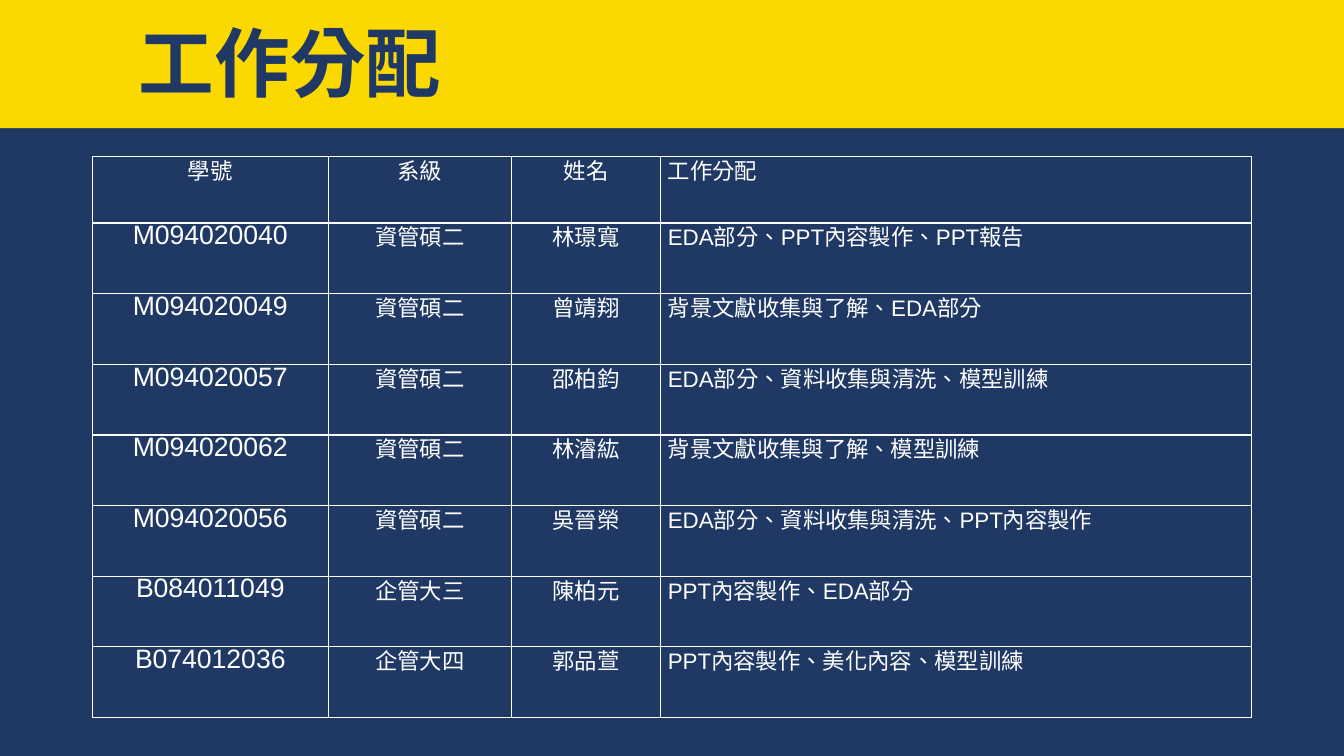
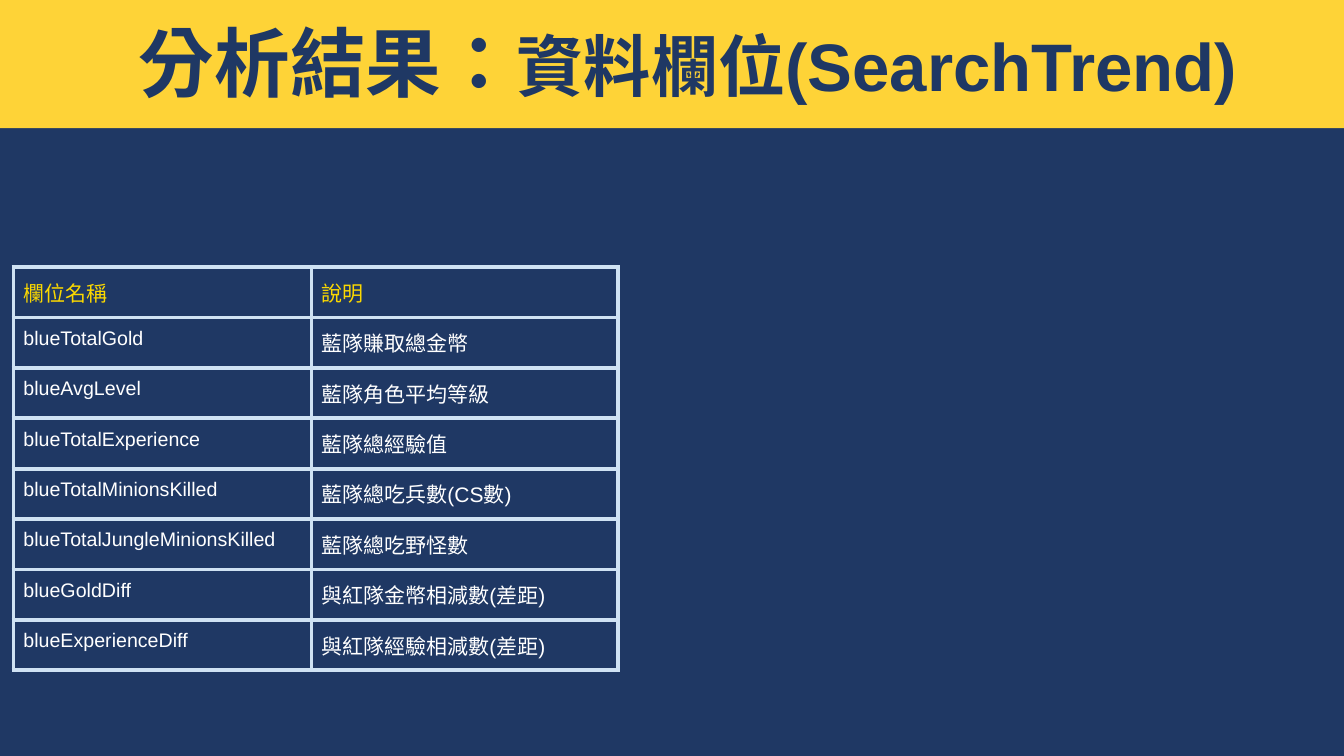
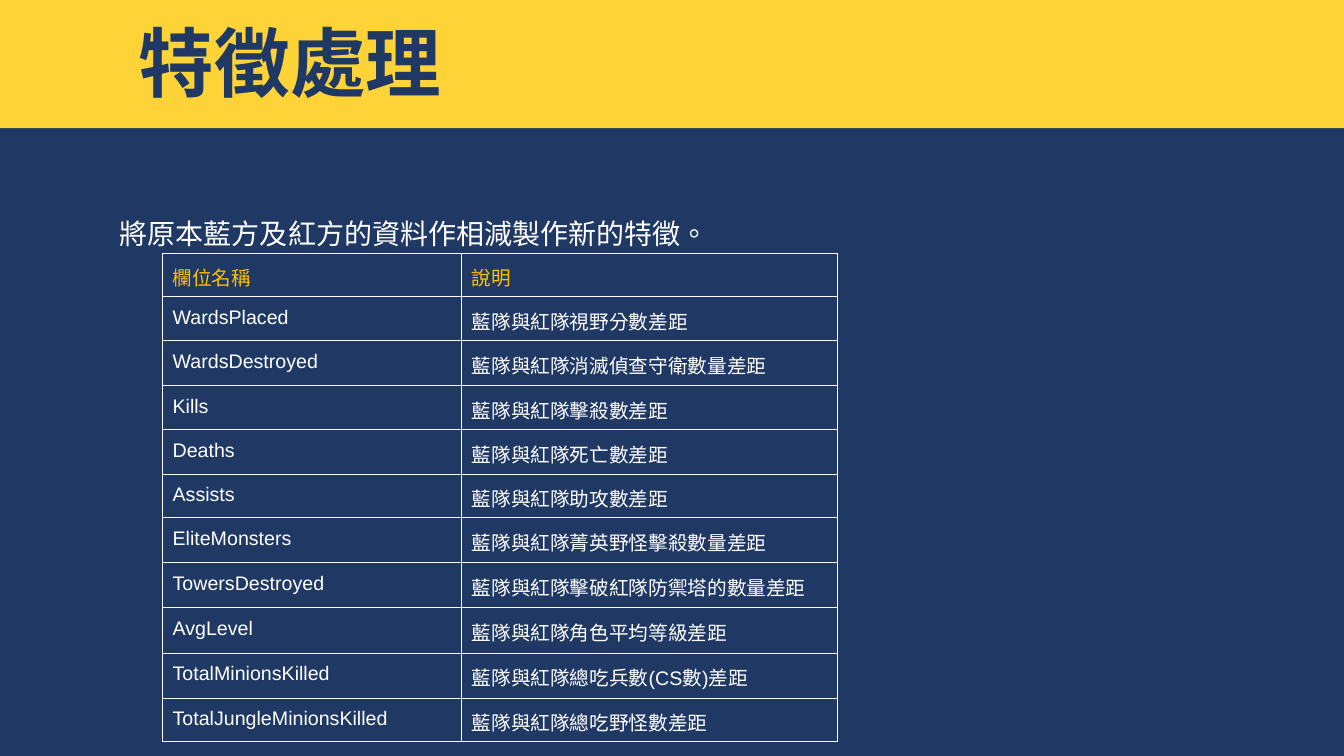
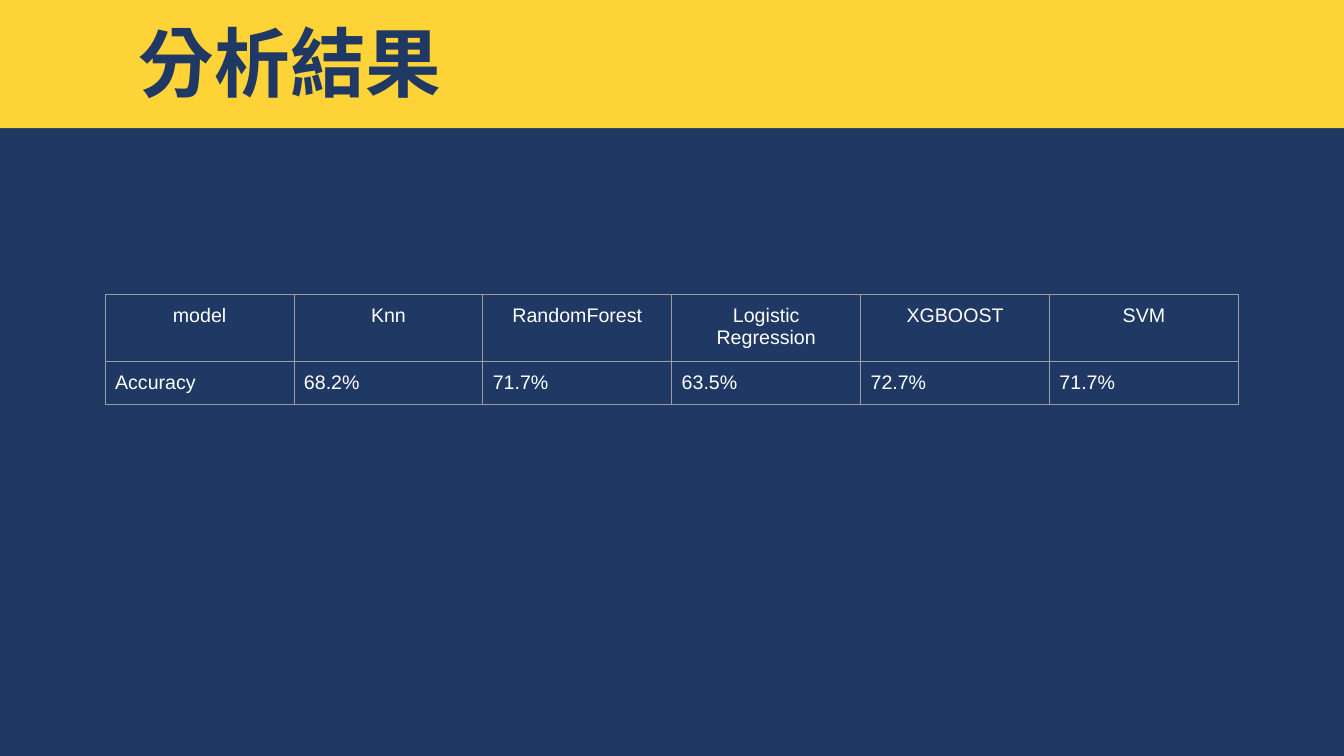
from itertools import groupby
from lxml import etree
from pptx import Presentation
from pptx import util as u
from pptx.dml import color
from pptx.enum import shapes, text
from pptx.oxml import ns

# Shared look
NAVY, WHITE, GOLD, AMBER = "1F3864", "FFFFFF", "FBD800", "FED337"
FONT = "Arial"
SIDES = {"l": text.PP_ALIGN.LEFT, "c": text.PP_ALIGN.CENTER}
Cm, Pt = u.Cm, u.Pt


def hue(code):
    return color.RGBColor.from_string(code)


def write(par, words, size, tint, font=FONT, bold=False):
    run = par.add_run()
    run.text = words
    run.font.name, run.font.size, run.font.bold = font, Pt(size), bold
    run.font.color.rgb = hue(tint)
    run._r.get_or_add_rPr().set("lang", "en-US" if words.isascii() else "zh-TW")


# Work shares: number, class, name, task
team = [
    ["學號", "系級", "姓名", "工作分配"],
    ["M094020040", "資管碩二", "林璟寬", "EDA部分、PPT內容製作、PPT報告"],
    ["M094020049", "資管碩二", "曾靖翔", "背景文獻收集與了解、EDA部分"],
    ["M094020057", "資管碩二", "邵柏鈞", "EDA部分、資料收集與清洗、模型訓練"],
    ["M094020062", "資管碩二", "林濬紘", "背景文獻收集與了解、模型訓練"],
    ["M094020056", "資管碩二", "吳晉榮", "EDA部分、資料收集與清洗、PPT內容製作"],
    ["B084011049", "企管大三", "陳柏元", "PPT內容製作、EDA部分"],
    ["B074012036", "企管大四", "郭品萱", "PPT內容製作、美化內容、模型訓練"],
]

# Data fields
fields = [
    ["欄位名稱", "說明"],
    ["blueTotalGold", "藍隊賺取總金幣"],
    ["blueAvgLevel", "藍隊角色平均等級"],
    ["blueTotalExperience", "藍隊總經驗值"],
    ["blueTotalMinionsKilled", "藍隊總吃兵數(CS數)"],
    ["blueTotalJungleMinionsKilled", "藍隊總吃野怪數"],
    ["blueGoldDiff", "與紅隊金幣相減數(差距)"],
    ["blueExperienceDiff", "與紅隊經驗相減數(差距)"],
]

# New features, each a gap between the two teams
gaps = [
    ["欄位名稱", "說明"],
    ["WardsPlaced", "藍隊與紅隊視野分數差距"],
    ["WardsDestroyed", "藍隊與紅隊消滅偵查守衛數量差距"],
    ["Kills", "藍隊與紅隊擊殺數差距"],
    ["Deaths", "藍隊與紅隊死亡數差距"],
    ["Assists", "藍隊與紅隊助攻數差距"],
    ["EliteMonsters", "藍隊與紅隊菁英野怪擊殺數量差距"],
    ["TowersDestroyed", "藍隊與紅隊擊破紅隊防禦塔的數量差距"],
    ["AvgLevel", "藍隊與紅隊角色平均等級差距"],
    ["TotalMinionsKilled", "藍隊與紅隊總吃兵數(CS數)差距"],
    ["TotalJungleMinionsKilled", "藍隊與紅隊總吃野怪數差距"],
]

# Model scores
scores = [
    ["model", "Knn", "RandomForest", "Logistic Regression", "XGBOOST", "SVM"],
    ["Accuracy", "68.2%", "71.7%", "63.5%", "72.7%", "71.7%"],
]

# One entry a slide; lengths in cm, top and body are the two row styles
pages = [
    dict(band=GOLD, title=[("工作分配", 54)], span=9.02, rows=team,
         at=(2.33, 3.94), wide=[5.94, 4.62, 3.76, 14.88], tall=[1.68] + [1.78] * 7,
         edge=(WHITE, 1), top=(WHITE, [16] * 4, "cccl"),
         body=(WHITE, [19, 16, 16, 16], "cccl"), pad=0.18, mixed=True),
    dict(band=AMBER, title=[("分析結果：", 54), ("資料欄位(SearchTrend)", 48)],
         span=29.39, rows=fields,
         at=(0.34, 6.73), wide=[7.51, 7.72], tall=[1.27] * 8,
         edge=("CFE2F3", 3), top=(GOLD, [15, 15], "ll"), body=(WHITE, [14, 15], "ll")),
    dict(band=AMBER, title=[("特徵處理", 54)], span=14.25, rows=gaps,
         note="將原本藍方及紅方的資料作相減製作新的特徵。",
         at=(4.1, 6.38), wide=[7.54, 9.47],
         tall=[1.09, 1.11, 1.14, 1.11, 1.11, 1.09] + [1.14] * 4 + [1.09],
         edge=(WHITE, 0.75), top=("FFC000", [14, 14], "ll"), body=(WHITE, [14, 14], "ll")),
    dict(band=AMBER, title=[("分析結果", 54)], span=15.27, rows=scores,
         at=(2.65, 7.42), wide=[4.76] * 6, tall=[1.68, 1.09],
         edge=("9E9E9E", 0.75), top=(WHITE, [14] * 6, "c" * 6),
         body=(WHITE, [14] * 6, "l" * 6)),
]

deck = Presentation()
deck.slide_width, deck.slide_height = Cm(33.87), Cm(19.05)
back = deck.slide_master.background.fill
back.solid()
back.fore_color.rgb = hue(NAVY)

for page in pages:
    slide = deck.slides.add_slide(deck.slide_layouts[6])

    # Band and title
    band = slide.shapes.add_shape(shapes.MSO_SHAPE.RECTANGLE, 0, 0, deck.slide_width, Cm(3.23))
    band.shadow.inherit = False
    band.fill.solid()
    band.fill.fore_color.rgb = hue(page["band"])
    band.line.fill.background()
    box = slide.shapes.add_textbox(Cm(3.25), Cm(0.28), Cm(page["span"]), Cm(2.57))
    box.text_frame.word_wrap = True
    for words, size in page["title"]:
        write(box.text_frame.paragraphs[0], words, size, NAVY, bold=True)

    # Note above the table
    if "note" in page:
        box = slide.shapes.add_textbox(Cm(2.77), Cm(5.21), Cm(16.38), Cm(3.07))
        frame = box.text_frame
        frame.word_wrap = True
        frame.margin_top = frame.margin_bottom = Cm(0.25)
        write(frame.paragraphs[0], page["note"], 20, WHITE, "Calibri")

    # Table
    rows, wide, tall = page["rows"], page["wide"], page["tall"]
    left, top = page["at"]
    grid = slide.shapes.add_table(len(rows), len(wide), Cm(left), Cm(top),
                                  Cm(sum(wide)), Cm(sum(tall))).table
    grid.first_row = grid.horz_banding = False
    for col, size in zip(grid.columns, wide):
        col.width = Cm(size)
    for row, size in zip(grid.rows, tall):
        row.height = Cm(size)

    mixed = page.get("mixed", False)
    tone, weight = page["edge"]
    for r, row in enumerate(rows):
        tint, sizes, sides = page["body" if r else "top"]
        for c, words in enumerate(row):
            cell = grid.cell(r, c)
            cell.margin_left = cell.margin_right = Cm(page.get("pad", 0.25))
            cell.margin_top = cell.margin_bottom = Cm(0.25)

            # Borders come before the fill
            props = cell._tc.get_or_add_tcPr()
            for tag in ("a:lnL", "a:lnR", "a:lnT", "a:lnB"):
                line = etree.SubElement(props, ns.qn(tag), w=str(Pt(weight)))
                fill = etree.SubElement(line, ns.qn("a:solidFill"))
                etree.SubElement(fill, ns.qn("a:srgbClr"), val=tone)
            cell.fill.background()

            par = cell.text_frame.paragraphs[0]
            par.alignment = SIDES[sides[c]]
            if mixed:
                par.line_spacing = 0.5
                par.space_before = par.space_after = Pt(12)
                for latin, part in groupby(words, str.isascii):
                    write(par, "".join(part), sizes[c], tint,
                          FONT if latin else "Times New Roman")
            else:
                write(par, words, sizes[c], tint)

deck.save("out.pptx")
